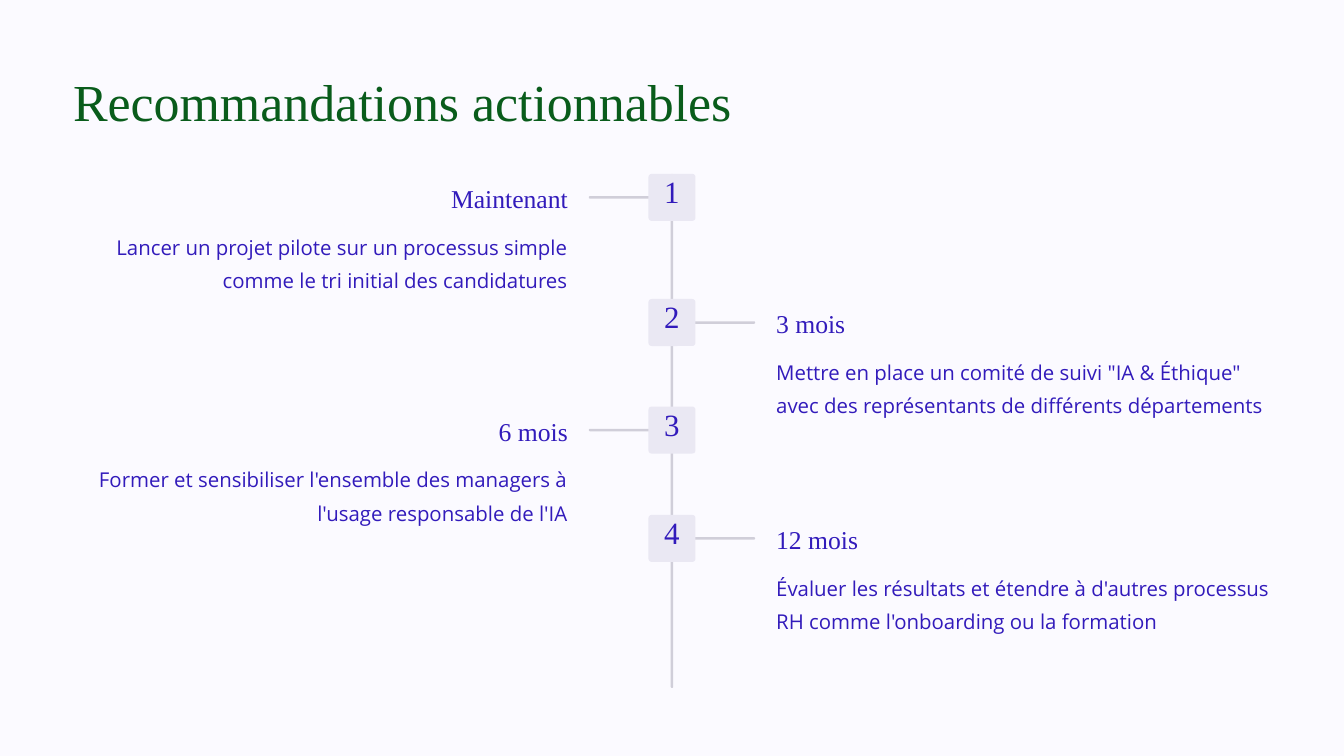
from dataclasses import dataclass
from pptx import Presentation
from pptx.dml.color import RGBColor
from pptx.enum.shapes import MSO_SHAPE as Shape
from pptx.enum.text import MSO_ANCHOR as Anchor, MSO_AUTO_SIZE as AutoSize, PP_ALIGN as Align
from pptx.util import Inches, Pt


@dataclass(frozen=True)
class Theme:
    background: str = "FBFAFF"
    line: str = "D0CED9"
    badge: str = "EAE8F3"
    title: str = "095C1B"
    ink: str = "321BBB"
    serif: str = "Times New Roman"
    sans: str = "Open Sans"
    # (type size, line spacing) in points
    title_size: tuple = (44.5, 55.5)
    number_size: tuple = (26.5, 26.5)
    date_size: tuple = (22, 27.5)
    action_size: tuple = (17.5, 28.5)


theme = Theme()
WIDTH, HEIGHT = 16, 9
AXIS = WIDTH / 2
MARGIN = 0.87
STROKE = 0.03
BADGE = 0.56
BRANCH_START, BRANCH_LENGTH = 0.25, 0.74
TEXT_GAP = 1.24
DATE_WIDTH, ACTION_WIDTH = 3.1, 5.89

# (top, side of the axis, date, action)
steps = [
    (2.07, -1, "Maintenant",
     "Lancer un projet pilote sur un processus simple comme le tri initial des candidatures"),
    (3.56, 1, "3 mois",
     'Mettre en place un comité de suivi "IA & Éthique" avec des représentants de différents départements'),
    (4.84, -1, "6 mois",
     "Former et sensibiliser l'ensemble des managers à l'usage responsable de l'IA"),
    (6.13, 1, "12 mois",
     "Évaluer les résultats et étendre à d'autres processus RH comme l'onboarding ou la formation"),
]

deck = Presentation()
deck.slide_width, deck.slide_height = Inches(WIDTH), Inches(HEIGHT)
slide = deck.slides.add_slide(deck.slide_layouts[5])
slide.background.fill.solid()
slide.background.fill.fore_color.rgb = RGBColor.from_string(theme.background)


def block(left, top, width, height, color, rounding):
    shape = slide.shapes.add_shape(
        Shape.ROUNDED_RECTANGLE, Inches(left), Inches(top), Inches(width), Inches(height))
    shape.adjustments[0] = rounding
    shape.fill.solid()
    shape.fill.fore_color.rgb = RGBColor.from_string(color)
    shape.line.fill.background()
    shape.shadow.inherit = False
    return shape


def write(holder, text, size, font, color, align, wrap=False, inset=0):
    frame = holder.text_frame
    frame.margin_left = frame.margin_right = frame.margin_bottom = 0
    frame.margin_top = Inches(inset)
    frame.vertical_anchor = Anchor.TOP
    frame.auto_size = AutoSize.NONE
    frame.word_wrap = wrap
    paragraph = frame.paragraphs[0]
    paragraph.text = text
    paragraph.alignment = align
    paragraph.line_spacing = Pt(size[1])
    paragraph.font.size = Pt(size[0])
    paragraph.font.name = font
    paragraph.font.color.rgb = RGBColor.from_string(color)


# Title
title = slide.shapes.title
title.left, title.top = Inches(MARGIN), Inches(0.8)
title.width, title.height = Inches(10.15), Inches(0.78)
write(title, "Recommandations actionnables", theme.title_size, theme.serif, theme.title, Align.LEFT)

# Timeline axis
block(AXIS - STROKE / 2, steps[0][0], STROKE, 6.12, theme.line, 0.5)

# Steps, alternating on both sides of the axis
for number, (top, side, date, action) in enumerate(steps, start=1):
    on_left = side < 0
    align = Align.RIGHT if on_left else Align.LEFT

    # Branch and numbered badge
    branch_left = AXIS + side * BRANCH_START - on_left * BRANCH_LENGTH
    block(branch_left, top + (BADGE - STROKE) / 2, BRANCH_LENGTH, STROKE, theme.line, 0.5)
    badge = block(AXIS - BADGE / 2, top, BADGE, BADGE, theme.badge, 0.067)
    write(badge, str(number), theme.number_size, theme.serif, theme.ink, Align.CENTER, inset=0.05)

    # Date and action
    for text, offset, width, height, size, font, wrap in (
        (date, 0.09, DATE_WIDTH, 0.39, theme.date_size, theme.serif, False),
        (action, 0.62, ACTION_WIDTH, 0.79, theme.action_size, theme.sans, True),
    ):
        left = AXIS + side * TEXT_GAP - on_left * width
        label = slide.shapes.add_textbox(
            Inches(left), Inches(top + offset), Inches(width), Inches(height))
        write(label, text, size, font, theme.ink, align, wrap)

deck.save("out.pptx")
